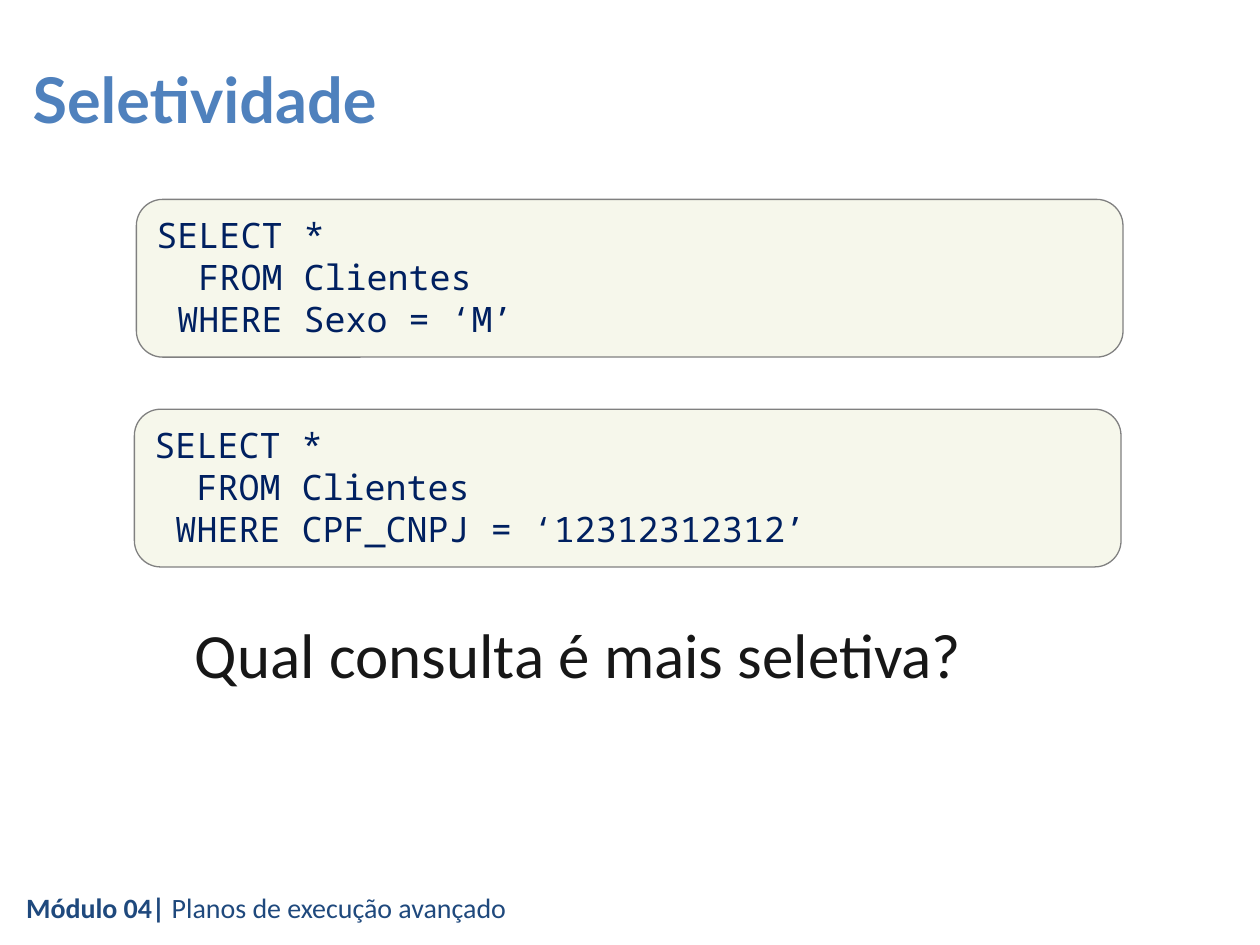
from dataclasses import dataclass

from pptx import Presentation
from pptx.dml.color import RGBColor
from pptx.enum.shapes import MSO_SHAPE
from pptx.enum.text import MSO_ANCHOR, PP_ALIGN
from pptx.util import Cm, Pt

ROUNDED = MSO_SHAPE.ROUNDED_RECTANGLE
TOP, MIDDLE = MSO_ANCHOR.TOP, MSO_ANCHOR.MIDDLE
LEFT = PP_ALIGN.LEFT


@dataclass(frozen=True)
class TextStyle:
    font: str
    size: int
    color: str
    bold: bool = False


@dataclass(frozen=True)
class Theme:
    title: TextStyle = TextStyle("Lato", 36, "4F81BD", True)
    question: TextStyle = TextStyle("Calibri", 36, "171717")
    code: TextStyle = TextStyle("Noto Sans Mono", 20, "002060")
    module: TextStyle = TextStyle("Calibri", 16, "1F497D", True)
    topic: TextStyle = TextStyle("Calibri", 16, "1F497D")
    code_fill: str = "F6F7EB"
    code_border: str = "808080"
    border_width: float = 0.75


class SlideBuilder:
    def __init__(self, slide, theme):
        self.slide = slide
        self.theme = theme

    def style_run(self, run, style):
        run.font.name = style.font
        run.font.size = Pt(style.size)
        run.font.bold = style.bold
        run.font.color.rgb = RGBColor.from_string(style.color)

    def text(self, pieces, left, top, width, height, anchor=TOP):
        """Place one line made of (wording, style) pieces; lengths in cm."""
        box = self.slide.shapes.add_textbox(Cm(left), Cm(top), Cm(width), Cm(height))
        frame = box.text_frame
        frame.word_wrap = True
        frame.vertical_anchor = anchor
        for wording, style in pieces:
            run = frame.paragraphs[0].add_run()
            run.text = wording
            self.style_run(run, style)

    def code(self, query, left, top, width, height):
        panel = self.slide.shapes.add_shape(
            ROUNDED, Cm(left), Cm(top), Cm(width), Cm(height))
        panel.shadow.inherit = False
        panel.fill.solid()
        panel.fill.fore_color.rgb = RGBColor.from_string(self.theme.code_fill)
        panel.line.color.rgb = RGBColor.from_string(self.theme.code_border)
        panel.line.width = Pt(self.theme.border_width)
        frame = panel.text_frame
        frame.vertical_anchor = TOP
        frame.text = query
        for line in frame.paragraphs:
            line.alignment = LEFT
            for run in line.runs:
                self.style_run(run, self.theme.code)


def main():
    deck = Presentation()
    deck.slide_width, deck.slide_height = Cm(25.4), Cm(19.05)
    theme = Theme()
    builder = SlideBuilder(deck.slides.add_slide(deck.slide_layouts[6]), theme)

    builder.text([("Módulo 04|", theme.module),
                  (" Planos de execução avançado", theme.topic)],
                 0.28, 17.83, 21.74, 1.02)
    builder.text([("Seletividade", theme.title)], 0.41, 0.99, 24.99, 1.98, MIDDLE)
    builder.text([("Qual consulta é mais seletiva?", theme.question)],
                 3.68, 12.29, 17.91, 1.8)

    queries = [
        (2.75, 4.02, "SELECT *\n  FROM Clientes\n WHERE Sexo = ‘M’"),
        (2.71, 8.25, "SELECT *\n  FROM Clientes\n WHERE CPF_CNPJ = ‘12312312312’"),
    ]
    for left, top, query in queries:
        builder.code(query, left, top, 19.89, 3.18)

    deck.save("out.pptx")


if __name__ == "__main__":
    main()
